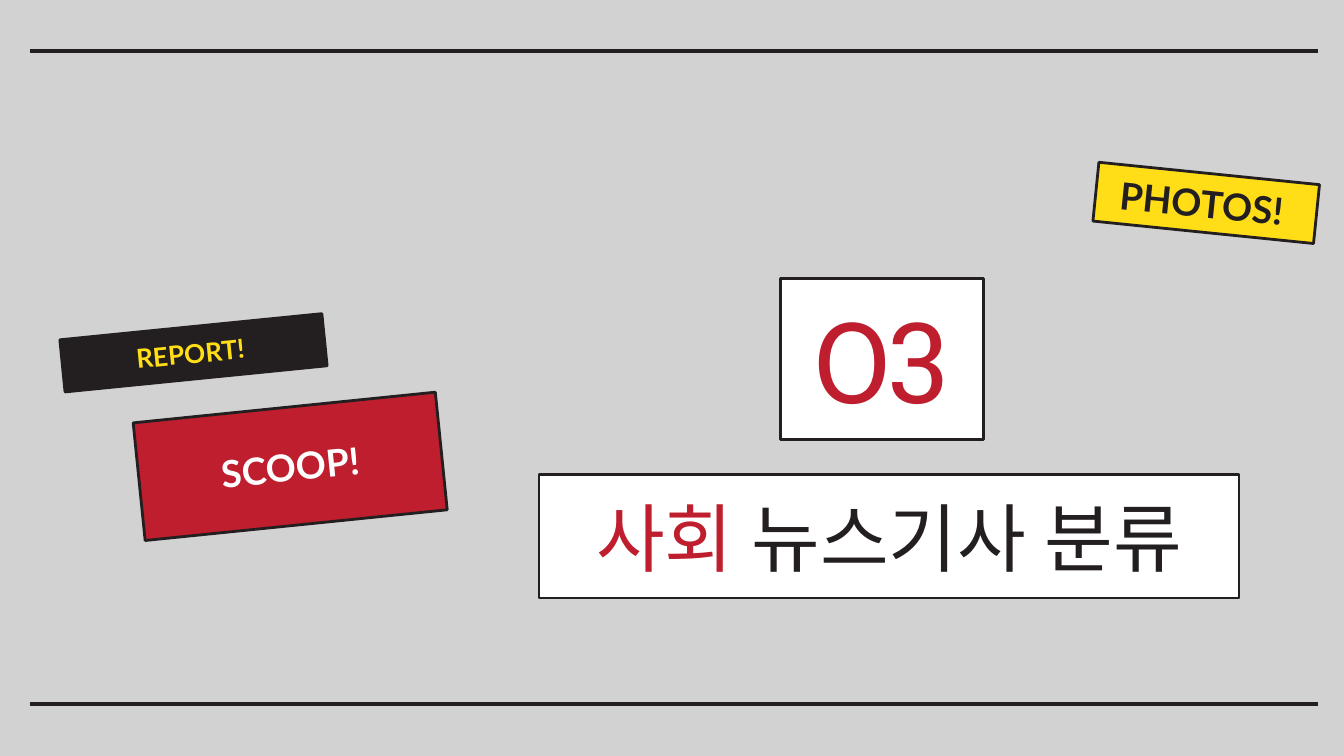
"""Build a news section slide with a numbered title and tilted labels."""
from lxml import etree
from pptx import Presentation
from pptx import util as u
from pptx.dml.color import RGBColor
from pptx.enum import shapes, text
from pptx.oxml.ns import qn

INK, RED, YELLOW, WHITE = "231F20", "BE1E2D", "FFDE17", "FFFFFF"


def paint(target, color):
    target.solid()
    target.fore_color.rgb = RGBColor.from_string(color)


def format_box(shape, box, fill, runs, size, font_name, bold):
    shape.left, shape.top, shape.width, shape.height = [u.Inches(value) for value in box]
    paint(shape.fill, fill)
    paint(shape.line.fill, INK)
    shape.line.width = u.Pt(1.5)
    frame = shape.text_frame
    frame.word_wrap = True
    frame.auto_size = text.MSO_AUTO_SIZE.NONE
    frame.vertical_anchor = text.MSO_ANCHOR.MIDDLE
    frame.margin_left = frame.margin_right = u.Inches(0.1)
    frame.margin_top = frame.margin_bottom = u.Inches(0.1)
    paragraph = frame.paragraphs[0]
    paragraph.alignment = text.PP_ALIGN.CENTER
    paragraph.space_before = u.Pt(0)
    for words, color in runs:
        run = paragraph.add_run()
        run.text = words
        run.font.size = u.Pt(size)
        run.font.bold = bold
        paint(run.font.fill, color)
        run.font.name = font_name
        etree.SubElement(run.font._element, qn("a:ea"), typeface=font_name)


presentation = Presentation()
presentation.slide_width = u.Inches(10)
presentation.slide_height = u.Inches(10 * 9 / 16)
slide = presentation.slides.add_slide(presentation.slide_layouts[0])
paint(slide.background.fill, "D3D2D2")

for y in (5.24, 0.38):
    rule = slide.shapes.add_connector(
        shapes.MSO_CONNECTOR.STRAIGHT, u.Inches(0.22), u.Inches(y), u.Inches(9.81), u.Inches(y))
    paint(rule.line.fill, INK)
    rule.line.width = u.Pt(2.25)
    etree.SubElement(rule._element.spPr, qn("a:effectLst"))

title, number = slide.placeholders
format_box(title, (4.01, 3.53, 5.21, 0.92), WHITE,
           [("사회", RED), (" 뉴스기사 분류", INK)], 40, "Roboto Slab", False)
format_box(number, (5.81, 2.07, 1.51, 1.2), WHITE, [("O3", RED)], 60, "Roboto Slab", False)

labels = [
    ("SCOOP!", (1.03, 3.03, 2.26, 0.88), -5.8, RED, WHITE, 20),
    ("REPORT! ", (0.46, 2.43, 1.96, 0.39), -5.7, INK, YELLOW, 14),
    ("PHOTOS! ", (8.15, 1.29, 1.65, 0.44), 5.8, YELLOW, INK, 20),
]
for words, box, angle, fill, color, size in labels:
    label = slide.shapes.add_shape(shapes.MSO_SHAPE.RECTANGLE, 0, 0, 0, 0)
    label.shadow.inherit = False
    label.rotation = angle
    format_box(label, box, fill, [(words, color)], size, "Lato", True)

presentation.save("out.pptx")
